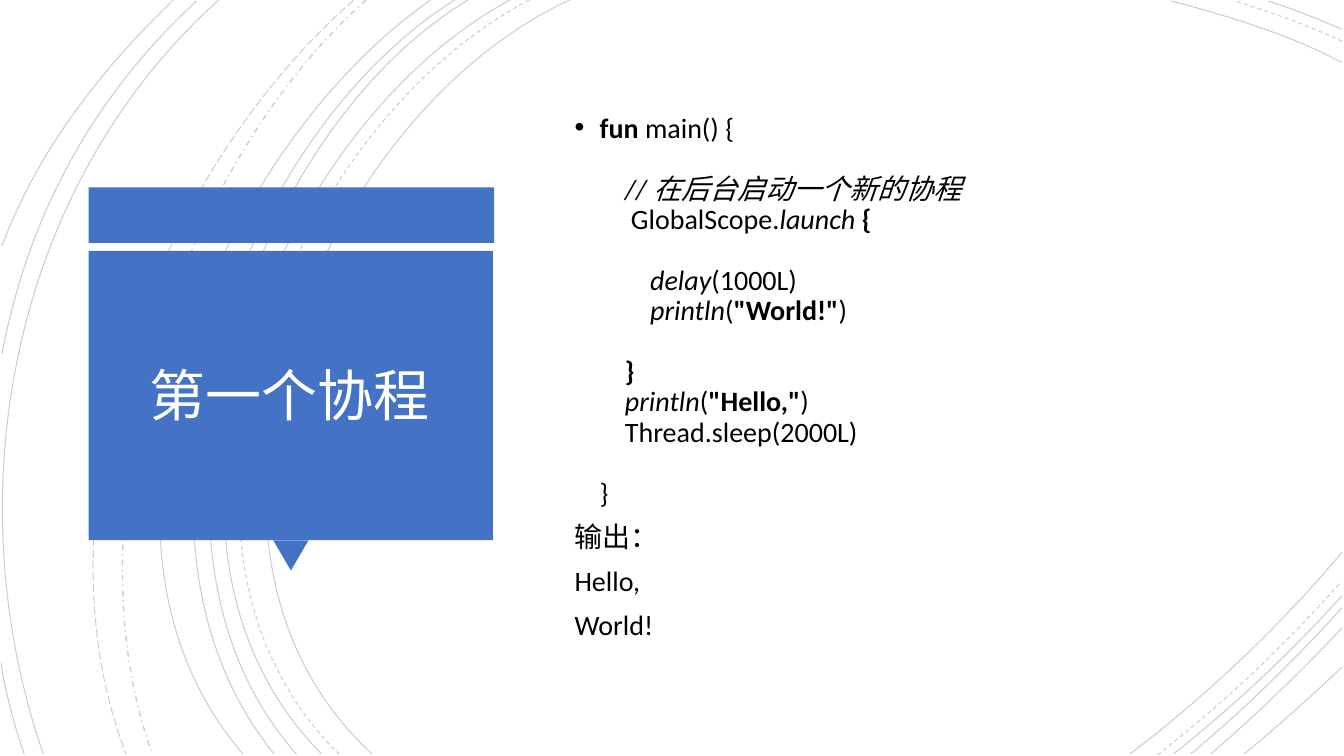
from pptx import Presentation
from pptx.dml.color import RGBColor
from pptx.enum.dml import MSO_LINE as DASH
from pptx.enum.shapes import MSO_SHAPE as SHAPE
from pptx.enum.text import MSO_ANCHOR as ANCHOR, PP_ALIGN as ALIGN
from pptx.oxml.ns import qn
from pptx.util import Inches, Pt
from lxml.etree import SubElement

COLORS = {"panel": "4472C4", "ink": "000000", "title": "FFFFFF"}
FONT = "Calibri"

prs = Presentation()
prs.slide_width, prs.slide_height = Inches(13.33), Inches(7.5)
s = prs.slides.add_slide(prs.slide_layouts[6])


def add_curve(points, dash=DASH.SOLID, width=0.75):
    """Draw one faint cubic curve from a start, two controls and an end."""
    start, *rest = [(Inches(x), Inches(y)) for x, y in points]
    builder = s.shapes.build_freeform(*start)
    builder.add_line_segments(rest, close=False)
    sp = builder.convert_to_shape()
    sp.shadow.inherit = False
    sp.fill.background()
    sp.line.color.rgb = RGBColor.from_string(COLORS["ink"])
    sp.line.width = Pt(width)
    sp.line.dash_style = dash
    ln = sp.line._ln
    SubElement(ln.find(".//" + qn("a:srgbClr")), qn("a:alpha"), val="20000")
    geom = sp._element.find(".//" + qn("a:pathLst"))[0]
    bezier = SubElement(geom, qn("a:cubicBezTo"))
    for segment in geom.findall(qn("a:lnTo")):
        bezier.append(segment[0])
        geom.remove(segment)


def add_text(box, lines, size, color, align=ALIGN.LEFT):
    """Fill a new text box; a line is (indent, space before, bullet, runs)."""
    tf = s.shapes.add_textbox(*map(Inches, box)).text_frame
    tf.word_wrap = True
    tf.vertical_anchor = ANCHOR.MIDDLE
    for i, (indent, before, bullet, runs) in enumerate(lines):
        p = tf.paragraphs[0] if i == 0 else tf.add_paragraph()
        p.alignment, p.line_spacing, p.space_before = align, 0.9, Pt(before)
        pPr = p._p.get_or_add_pPr()
        pPr.set("marL", str(Inches(indent)))
        pPr.set("indent", str(Inches(-indent if bullet else 0)))
        if bullet:
            SubElement(pPr, qn("a:buFont"), typeface="Arial")
            SubElement(pPr, qn("a:buChar"), char=bullet)
        for text, style in runs:
            r = p.add_run()
            r.text = text
            r.font.name, r.font.size = FONT, Pt(size)
            r.font.color.rgb = RGBColor.from_string(COLORS[color])
            r.font.bold, r.font.italic = style == "b", style == "i"


# Background arcs
for points, *style in [
    ([(5.65, 0), (3.15, 1.15), (1.43, 5.4), (3.69, 7.48)],),
    ([(13.31, 0.62), (12.78, 0.34), (12.18, 0.16), (11.62, 0.01)],),
    ([(11.21, 7.48), (11.97, 6.9), (12.69, 6.22), (13.31, 5.48)],),
    ([(5.25, 0), (2.85, 1.25), (1.23, 5.37), (3.36, 7.48)], DASH.DASH),
    ([(13.31, 0.41), (12.97, 0.25), (12.6, 0.12), (12.25, 0.01)], DASH.DASH),
    ([(11.48, 7.49), (12.13, 6.98), (12.75, 6.4), (13.3, 5.77)], DASH.DASH),
    ([(5.06, 0), (2.7, 1.27), (1.1, 5.37), (3.19, 7.48)],),
    ([(13.31, 0.29), (13.07, 0.19), (12.83, 0.09), (12.58, 0.01)],),
    ([(11.64, 7.48), (12.23, 7.01), (12.8, 6.48), (13.31, 5.91)],),
    ([(4.64, 0), (2.44, 1.33), (1.1, 5.41), (2.94, 7.48)],),
    ([(11.81, 7.48), (12.34, 7.04), (12.84, 6.55), (13.31, 6.03)],),
    ([(4.51, 0), (2.31, 1.38), (0.97, 5.33), (2.72, 7.48)],),
    ([(12.01, 7.48), (12.46, 7.09), (12.9, 6.67), (13.31, 6.23)],),
    ([(4.27, 0), (2.17, 1.47), (0.53, 5.29), (2.41, 7.48)],),
    ([(12.34, 7.48), (12.67, 7.21), (12.99, 6.92), (13.31, 6.62)],),
    ([(3.63, 0), (1.76, 1.66), (0.65, 5.09), (1.51, 7.48)], DASH.DASH_DOT, 1),
    ([(3.51, 0), (1.57, 1.69), (0.29, 4.99), (1.25, 7.48)], DASH.LONG_DASH),
    ([(2.17, 0), (0.11, 1.85), (-0.46, 4.9), (0.43, 7.48)],),
    ([(1.95, 0.01), (0.92, 0.96), (0.28, 2.14), (0.02, 3.51)],),
    ([(0.01, 6.58), (0.06, 6.89), (0.14, 7.19), (0.24, 7.48)],),
    ([(1.72, 0), (1, 0.69), (0.37, 1.5), (0.02, 2.44)],),
]:
    add_curve(points, *style)

# Title panel with its pointer
for kind, box, rotation in [
    (SHAPE.RECTANGLE, (0.88, 1.86, 4.02, 0.55), 0),
    (SHAPE.ISOSCELES_TRIANGLE, (2.71, 5.36, 0.35, 0.3), 180),
    (SHAPE.RECTANGLE, (0.88, 2.49, 4.01, 2.87), 0),
]:
    sp = s.shapes.add_shape(kind, *map(Inches, box))
    sp.rotation = rotation
    sp.shadow.inherit = False
    sp.fill.solid()
    sp.fill.fore_color.rgb = RGBColor.from_string(COLORS["panel"])
    sp.line.fill.background()

add_text((0.99, 2.64, 3.77, 2.62), [(0, 0, "", [("第一个协程", "")])],
         size=40, color="title", align=ALIGN.CENTER)

# Code and its output; GAP is the height of one skipped line
GAP = 22
add_text((5.6, 0.88, 6.87, 5.74), [
    (0.25, 10, "•", [("fun ", "b"), ("main() {", "")]),
    (0.5, GAP, "", [("// 在后台启动一个新的协程", "i")]),
    (0.56, 0, "", [("GlobalScope.", ""), ("launch ", "i"), ("{", "b")]),
    (0.75, GAP, "", [("delay", "i"), ("(1000L)", "")]),
    (0.75, 0, "", [("println", "i"), ("(", ""), ('"World!"', "b"), (")", "")]),
    (0.5, GAP, "", [("}", "b")]),
    (0.5, 0, "", [("println", "i"), ("(", ""), ('"Hello,"', "b"), (")", "")]),
    (0.5, 0, "", [("Thread.sleep(2000L)", "")]),
    (0.25, GAP, "", [("}", "")]),
    (0, 10, "", [("输出：", "")]),
    (0, 10, "", [("Hello,", "")]),
    (0, 10, "", [("World!", "")]),
], size=20, color="ink")

prs.save("out.pptx")
